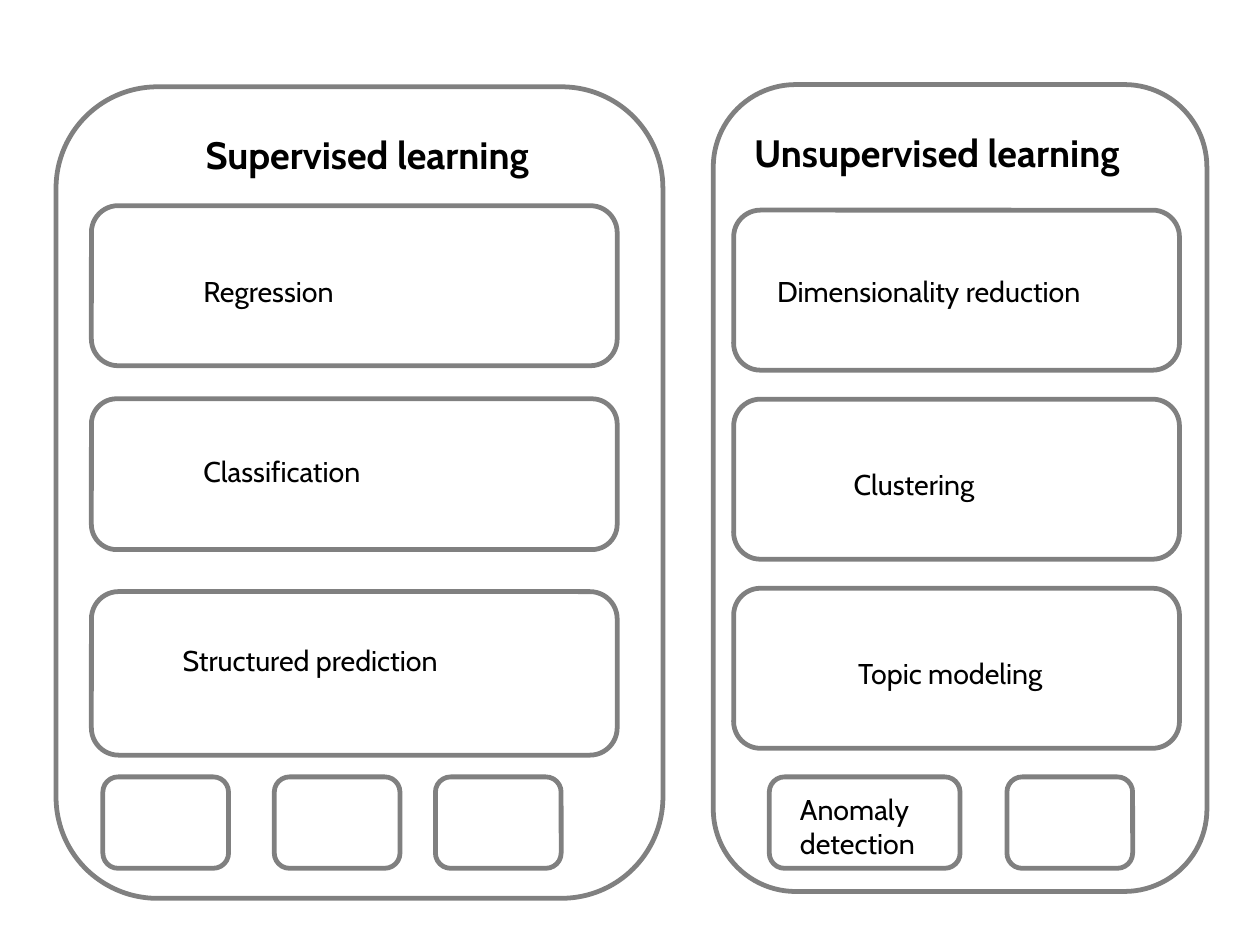
"""Builds a slide that groups machine learning tasks into two families."""
import dataclasses

import pptx
import pptx.dml.color
import pptx.enum.shapes
import pptx.enum.text
import pptx.util

Pt = pptx.util.Pt


@dataclasses.dataclass(frozen=True)
class Theme:
    font: str = "Cabin"
    ink: str = "000000"
    outline: str = "808080"
    surface: str = "FFFFFF"
    outline_width: float = 3
    corner: float = 0.167
    heading_size: float = 24
    label_size: float = 18

    def color(self, name):
        return pptx.dml.color.RGBColor.from_string(getattr(self, name))


class Diagram:
    def __init__(self, page, theme):
        self.page = page
        self.theme = theme

    def frame(self, left, top, width, height):
        frame = self.page.shapes.add_shape(
            pptx.enum.shapes.MSO_SHAPE.ROUNDED_RECTANGLE,
            Pt(left), Pt(top), Pt(width), Pt(height))
        frame.adjustments[0] = self.theme.corner
        frame.shadow.inherit = False
        frame.fill.solid()
        frame.fill.fore_color.rgb = self.theme.color("surface")
        frame.line.color.rgb = self.theme.color("outline")
        frame.line.width = Pt(self.theme.outline_width)

    def text(self, words, left, top, width, height, size, bold=False):
        box = self.page.shapes.add_textbox(Pt(left), Pt(top), Pt(width), Pt(height))
        box.text_frame.word_wrap = True
        box.text_frame.auto_size = pptx.enum.text.MSO_AUTO_SIZE.SHAPE_TO_FIT_TEXT
        para = box.text_frame.paragraphs[0]
        para.text = words
        para.font.name = self.theme.font
        para.font.size = Pt(size)
        para.font.bold = bold
        para.font.color.rgb = self.theme.color("ink")

    def heading(self, words, left, top, width):
        self.text(words, left, top, width, 39.6, self.theme.heading_size, True)

    def label(self, words, left, top, width, height=31.7):
        self.text(words, left, top, width, height, self.theme.label_size)


def main():
    deck = pptx.Presentation()
    deck.slide_width, deck.slide_height = Pt(793.7), Pt(595.28)
    page = deck.slides.add_slide(deck.slide_layouts[6])
    diagram = Diagram(page, Theme())

    small_top, small_width, small_height = 489.4, 79.2, 57.6

    diagram.frame(35.3, 54.7, 382.3, 511.2)
    diagram.heading("Supervised learning", 122.4, 79.2, 252.7)
    supervised_tasks = [
        ("Regression", 129.6, 100.8, 121, 169.2, 175.7),
        ("Classification", 251.2, 95, 121, 282.2, 175.7),
        ("Structured prediction", 372.7, 103, 108, 401.5, 194.4),
    ]
    for words, top, height, label_left, label_top, label_width in supervised_tasks:
        diagram.frame(57.6, top, 331.2, height)
        diagram.label(words, label_left, label_top, label_width)
    for left in (64.8, 172.8, 274.3):
        diagram.frame(left, small_top, small_width, small_height)

    diagram.frame(449.3, 53.3, 311, 508.3)
    diagram.heading("Unsupervised learning", 468, 77.8, 273.6)
    unsupervised_tasks = [
        ("Dimensionality reduction", 482.4, 169.2, 237.6),
        ("Clustering", 530.6, 290.9, 104.4),
        ("Topic modeling", 533.5, 409.7, 143.3),
    ]
    for row, (words, label_left, label_top, label_width) in enumerate(unsupervised_tasks):
        diagram.frame(462.2, 132.4 + row * 119.1, 280.8, 100.8)
        diagram.label(words, label_left, label_top, label_width)
    diagram.frame(484.6, small_top, 120.2, small_height)
    diagram.label("Anomaly\vdetection", 496.8, 495.1, 104.4, 56.2)
    diagram.frame(634.3, small_top, small_width, small_height)

    deck.save("out.pptx")


if __name__ == "__main__":
    main()
